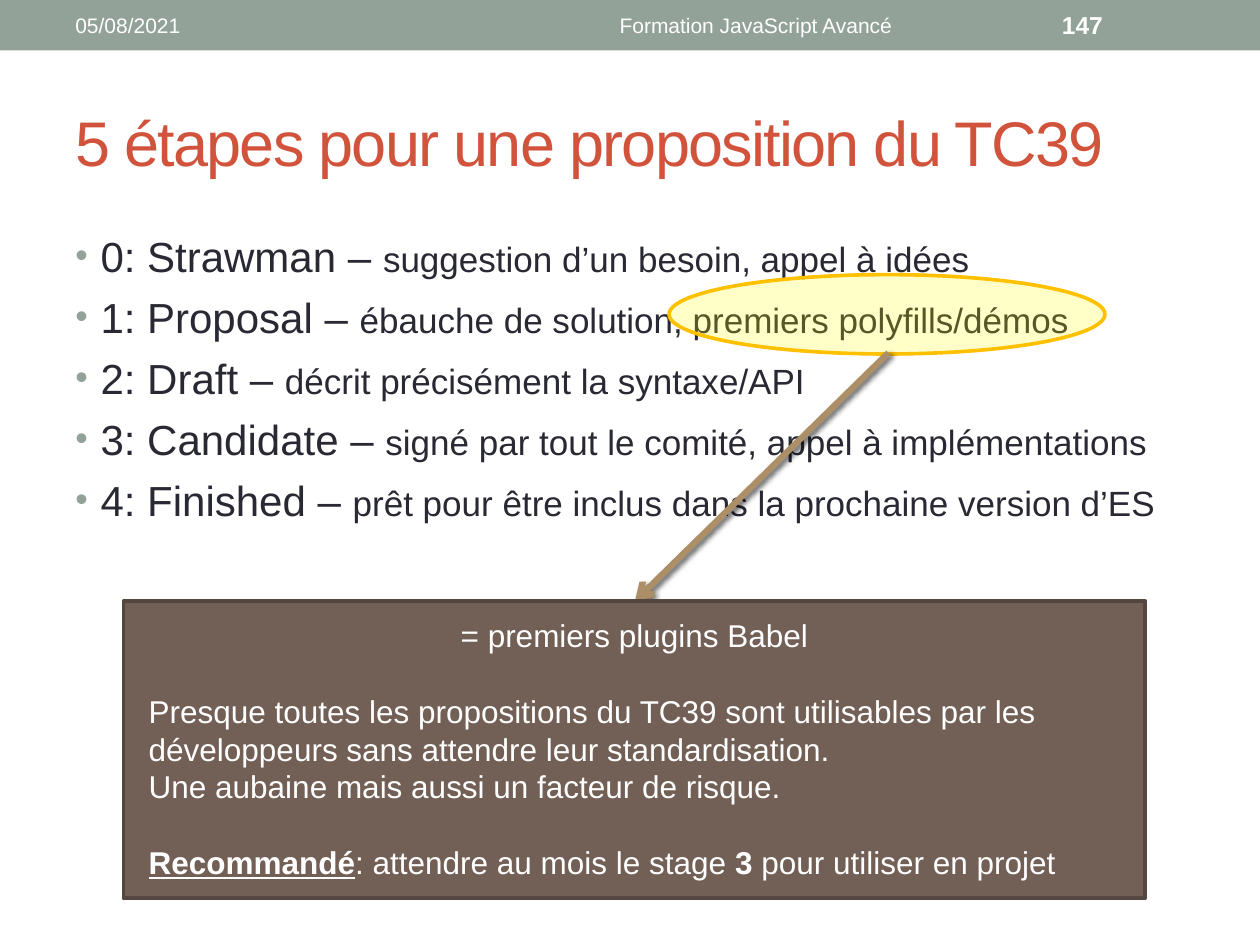
from lxml.etree import SubElement
from pptx import Presentation
from pptx.dml.color import RGBColor
from pptx.enum.shapes import MSO_CONNECTOR, MSO_SHAPE
from pptx.enum.text import MSO_ANCHOR as ANCHOR, PP_ALIGN as ALIGN
from pptx.oxml.ns import qn
from pptx.util import Inches, Pt

SAGE = RGBColor(0x93, 0xA2, 0x99)
RED = RGBColor(0xD2, 0x53, 0x3C)
INK = RGBColor(0x29, 0x29, 0x34)
WHITE = RGBColor(0xFF, 0xFF, 0xFF)
YELLOW = RGBColor(0xFF, 0xFF, 0x00)
GOLD = RGBColor(0xFF, 0xC0, 0x00)
TAN = RGBColor(0xAD, 0x8F, 0x67)
BROWN = RGBColor(0x72, 0x60, 0x56)
DARK_BROWN = RGBColor(0x54, 0x47, 0x40)

W, H = 10, 7.5
MARGIN = 0.05 * W
BAR_H = 0.4

# Content: header cells are (left, width, text, format)
HEADER = [
    (MARGIN, 3.17, "05/08/2021", dict(size=12)),
    (3.75, 4.5, "Formation JavaScript Avancé", dict(size=12, align=ALIGN.CENTER)),
    (8.33, 1.17, "147", dict(size=14, bold=True)),
]
TITLE = "5 étapes pour une proposition du TC39"
STAGES = [
    ("Strawman", "suggestion d’un besoin, appel à idées"),
    ("Proposal", "ébauche de solution, premiers polyfills/démos"),
    ("Draft", "décrit précisément la syntaxe/API"),
    ("Candidate", "signé par tout le comité, appel à implémentations"),
    ("Finished", "prêt pour être inclus dans la prochaine version d’ES"),
]
# Note paragraphs: (alignment, lines of space before, runs)
NOTE = [
    (ALIGN.CENTER, 0, [("= premiers plugins Babel", {})]),
    (ALIGN.LEFT, 1, [("Presque toutes les propositions du TC39 sont utilisables par les "
                      "développeurs sans attendre leur standardisation.", {})]),
    (ALIGN.LEFT, 0, [("Une aubaine mais aussi un facteur de risque.", {})]),
    (ALIGN.LEFT, 1, [("Recommandé", dict(bold=True, underline=True)),
                     (": attendre au mois le stage ", {}),
                     ("3", dict(bold=True)),
                     (" pour utiliser en projet", {})]),
]
NOTE_LINE = 21.6

prs = Presentation()
prs.slide_width, prs.slide_height = Inches(W), Inches(H)
s = prs.slides.add_slide(prs.slide_layouts[6])


def add_text(p, text, size=18, color=WHITE, bold=False, underline=False, align=None):
    r = p.add_run()
    r.text = text
    f = r.font
    f.name, f.size, f.bold, f.underline = "Arial", Pt(size), bold, underline
    f.color.rgb = color
    if align is not None:
        p.alignment = align
    return r


def add_box(x, y, w, h, anchor=ANCHOR.TOP):
    tf = s.shapes.add_textbox(*map(Inches, (x, y, w, h))).text_frame
    tf.word_wrap = True
    tf.vertical_anchor = anchor
    return tf


def add_shape(kind, x, y, w, h, fill, line=None):
    sp = s.shapes.add_shape(kind, *map(Inches, (x, y, w, h)))
    sp.shadow.inherit = False
    sp.fill.solid()
    sp.fill.fore_color.rgb = fill
    if line is None:
        sp.line.fill.background()
    else:
        sp.line.color.rgb = line
        sp.line.width = Pt(2.08)
    return sp


def add_alpha(color_el, percent):
    SubElement(color_el, qn("a:alpha"), val=str(percent * 1000))


def add_bullet(p):
    pPr = p._p.get_or_add_pPr()
    pPr.set("marL", str(Inches(0.2)))
    pPr.set("indent", str(-Inches(0.2)))
    SubElement(SubElement(pPr, qn("a:buClr")), qn("a:srgbClr"), val=str(SAGE))
    SubElement(pPr, qn("a:buSzPct"), val="85000")
    SubElement(pPr, qn("a:buFont"), typeface="Arial")
    SubElement(pPr, qn("a:buChar"), char="•")


def paragraphs(tf, items):
    for i, item in enumerate(items):
        yield i, tf.add_paragraph() if i else tf.paragraphs[0], item


# Header bar
add_shape(MSO_SHAPE.RECTANGLE, 0, 0, W, BAR_H, SAGE)
for x, w, text, fmt in HEADER:
    tf = add_box(x, 0.02, w, BAR_H - 0.04, ANCHOR.MIDDLE)
    add_text(tf.paragraphs[0], text, **fmt)

# Title
tf = add_box(MARGIN, 0.58, W - 2 * MARGIN, 1.08, ANCHOR.MIDDLE)
r = add_text(tf.paragraphs[0], TITLE, size=36, color=RED)
r._r.get_or_add_rPr().set("spc", "-100")

# Numbered stages
tf = add_box(MARGIN, 1.78, W - 2 * MARGIN, 5.3)
for i, p, (name, detail) in paragraphs(tf, STAGES):
    add_bullet(p)
    if i:
        p.space_before = Pt(6)
    add_text(p, f"{i}: {name} – ", size=24, color=INK)
    add_text(p, detail, size=20, color=INK)

# Highlight
sp = add_shape(MSO_SHAPE.OVAL, 5.31, 2.18, 3.46, 0.63, YELLOW, GOLD)
add_alpha(sp._element.spPr.find(qn("a:solidFill"))[0], 22)

# Arrow from the highlight to the note
arrow = s.shapes.add_connector(MSO_CONNECTOR.STRAIGHT, *map(Inches, (7.05, 2.8, 5.04, 4.77)))
arrow.line.color.rgb = TAN
arrow.line.width = Pt(3.5)
SubElement(arrow.line._get_or_add_ln(), qn("a:tailEnd"), type="arrow")
effects = SubElement(arrow._element.spPr, qn("a:effectLst"))
shadow = SubElement(effects, qn("a:outerShdw"), blurRad=str(Pt(3)), dist=str(Pt(2)),
                    dir=str(45 * 60000), rotWithShape="0")
add_alpha(SubElement(shadow, qn("a:srgbClr"), val="000000"), 60)

# Note
sp = add_shape(MSO_SHAPE.RECTANGLE, 0.98, 4.77, 8.11, 2.36, BROWN, DARK_BROWN)
tf = sp.text_frame
tf.word_wrap = True
tf.vertical_anchor = ANCHOR.TOP
tf.margin_left = tf.margin_right = Inches(0.2)
tf.margin_top = tf.margin_bottom = Inches(0.12)
for i, p, (align, gap, runs) in paragraphs(tf, NOTE):
    p.line_spacing = Pt(NOTE_LINE)
    if gap:
        p.space_before = Pt(gap * NOTE_LINE)
    for text, fmt in runs:
        add_text(p, text, align=align, **fmt)

prs.save("out.pptx")
